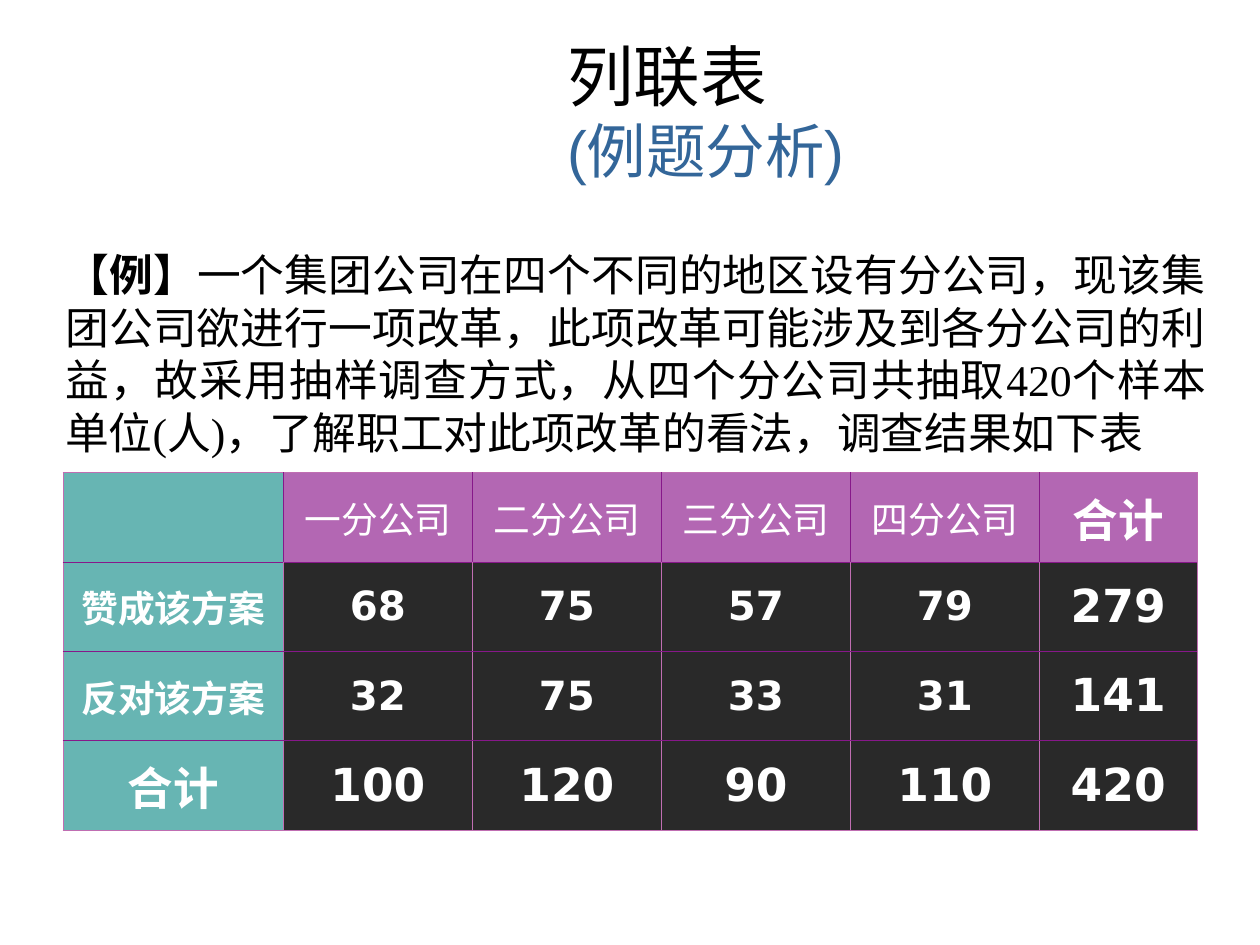
from lxml import etree
from pptx import Presentation
from pptx import util as u
from pptx.dml.color import RGBColor
from pptx.enum import text
from pptx.oxml import ns

WHITE, BLACK, BLUE = "FFFFFF", "000000", "336699"
TEAL, ORCHID, CHARCOAL = "67B5B3", "B367B3", "292929"
PINK, PURPLE = "C06EB2", "87188A"
COLUMN_WIDTHS = [1.75, 1.5, 1.5, 1.5, 1.5, 1.25]
ROW_HEIGHT = 0.71
SURVEY = [
    ["", "一分公司", "二分公司", "三分公司", "四分公司", "合计"],
    ["赞成该方案", "68", "75", "57", "79", "279"],
    ["反对该方案", "32", "75", "33", "31", "141"],
    ["合计", "100", "120", "90", "110", "420"],
]
EXAMPLE = ("一个集团公司在四个不同的地区设有分公司，现该集团公司欲进行一项改革，"
           "此项改革可能涉及到各分公司的利益，故采用抽样调查方式，从四个分公司共抽取420个样本单位(人)，"
           "了解职工对此项改革的看法，调查结果如下表")


def color(value):
    """Turn a hex string into a colour."""
    return RGBColor.from_string(value)


def style(span, size, face, ink, bold=False):
    """Format one run."""
    span.font.size, span.font.name, span.font.bold = u.Pt(size), face, bold
    span.font.color.rgb = color(ink)


def add_title(page):
    """Fill the title placeholder with a heading and a subheading."""
    box = page.shapes.title
    box.left, box.top, box.width, box.height = map(u.Inches, (2, 0.25, 7.42, 1.25))
    box.text_frame.vertical_anchor = text.MSO_ANCHOR.MIDDLE
    para = box.text_frame.paragraphs[0]
    para.text = "列联表\v(例题分析)"
    para.alignment = text.PP_ALIGN.LEFT
    para._p.get_or_add_pPr().set("marL", str(u.Inches(2.4)))
    for span, size, ink in zip(para.runs, (38, 34), (BLACK, BLUE)):
        style(span, size, "Arial", ink)


def add_example(page):
    """Add the justified description of the survey."""
    box = page.shapes.add_textbox(*map(u.Inches, (0.42, 1.92, 9.25, 1.77)))
    box.text_frame.word_wrap = True
    para = box.text_frame.paragraphs[0]
    para.alignment = text.PP_ALIGN.JUSTIFY
    for words, bold in (("【例】", True), (EXAMPLE, False)):
        span = para.add_run()
        span.text = words
        style(span, 25, "Times New Roman", BLACK, bold)


def set_borders(cell, edges):
    """Draw thin lines on the sides of a cell, given as side and colour."""
    for side, ink in edges.items():
        line = etree.SubElement(cell._tc.get_or_add_tcPr(), ns.qn(f"a:ln{side}"), w=str(u.Pt(0.45)))
        fill = etree.SubElement(line, ns.qn("a:solidFill"))
        etree.SubElement(fill, ns.qn("a:srgbClr"), val=ink)


def format_cell(cell, row, column):
    """Colour and align a cell by its place in the table."""
    last_row, last_column = len(SURVEY) - 1, len(COLUMN_WIDTHS) - 1
    header, total = row == 0, row == last_row or column == last_column
    set_borders(cell, {
        "L": PURPLE if header and column > 0 else PINK,
        "R": PURPLE if header and column < last_column else PINK,
        "T": PINK if header else PURPLE,
        "B": PINK if row == last_row else PURPLE,
    })
    cell.fill.solid()
    cell.fill.fore_color.rgb = color(TEAL if column == 0 else ORCHID if header else CHARCOAL)
    cell.vertical_anchor = text.MSO_ANCHOR.MIDDLE
    para = cell.text_frame.paragraphs[0]
    para.alignment = text.PP_ALIGN.CENTER
    size = 26 if total else 21 if header or column == 0 else 23
    for span in para.runs:
        style(span, size, "DejaVu Sans", WHITE, total or not header)


def add_survey(page):
    """Add the contingency table."""
    rows, columns = len(SURVEY), len(COLUMN_WIDTHS)
    place = map(u.Inches, (0.5, 3.75, sum(COLUMN_WIDTHS), rows * ROW_HEIGHT))
    table = page.shapes.add_table(rows, columns, *place).table
    for column, width in zip(table.columns, COLUMN_WIDTHS):
        column.width = u.Inches(width)
    for row, values in enumerate(SURVEY):
        for column, value in enumerate(values):
            cell = table.cell(row, column)
            cell.text = value
            format_cell(cell, row, column)


def main():
    """Build and save the slide."""
    deck = Presentation()
    deck.slide_width, deck.slide_height = u.Inches(10), u.Inches(7.5)
    page = deck.slides.add_slide(deck.slide_layouts[5])
    add_title(page)
    add_survey(page)
    add_example(page)
    deck.save("out.pptx")


if __name__ == "__main__":
    main()
